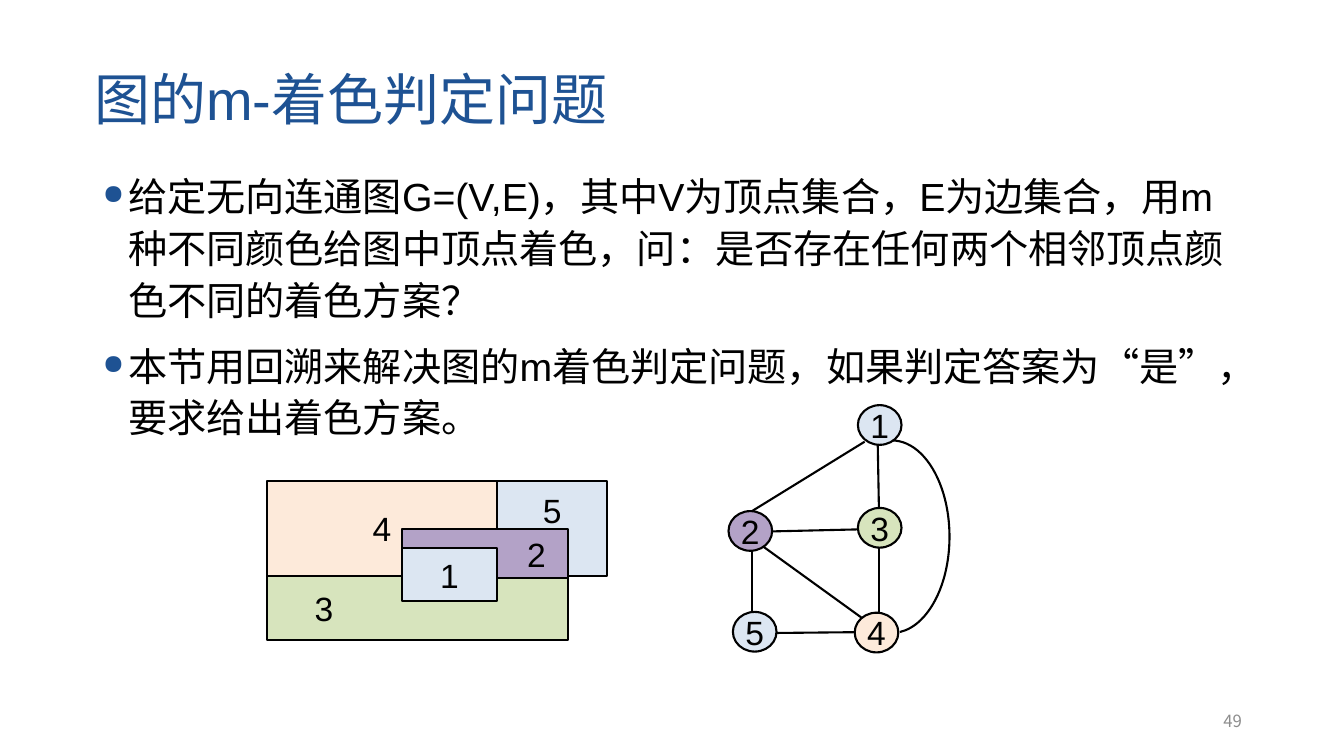
from dataclasses import dataclass

from lxml.etree import SubElement
from pptx import Presentation
from pptx.dml.color import RGBColor
from pptx.enum.shapes import MSO_CONNECTOR, MSO_SHAPE
from pptx.enum.text import MSO_ANCHOR, PP_ALIGN
from pptx.oxml.ns import qn
from pptx.util import Cm, Pt


@dataclass(frozen=True)
class Theme:
    font: str = "Arial"
    number_font: str = "Noto Sans CJK SC"
    blue: str = "1E5293"
    black: str = "000000"
    gray: str = "8C8C8C"
    title_size: int = 40
    body_size: int = 28
    label_size: int = 24
    number_size: int = 12
    line_width: float = 1.5


THEME = Theme()

# One colour per vertex, shared by the map and the graph
VERTEX_COLORS = {"1": "DCE6F2", "2": "B3A2C7", "3": "D7E4BD", "4": "FDEADA", "5": "DCE6F2"}

TITLE = "图的m-着色判定问题"
BODY = [
    "给定无向连通图G=(V,E)，其中V为顶点集合，E为边集合，用m种不同颜色给图中顶点着色，"
    "问：是否存在任何两个相邻顶点颜色不同的着色方案？",
    "本节用回溯来解决图的m着色判定问题，如果判定答案为“是”，要求给出着色方案。",
]

# Map regions from back to front: label, (left, top, width, height)
REGIONS = [
    ("4", (6.73, 12.12, 5.79, 2.39)),
    ("3", (6.73, 14.52, 7.59, 1.6)),
    ("5", (12.52, 12.12, 2.79, 2.39)),
    ("2", (10.13, 13.34, 4.19, 1.22)),
    ("1", (10.13, 13.82, 2.39, 1.32)),
]

# Graph vertices: label, (left, top)
NODE_SIZE = (1.1, 1)
NODES = {
    "1": (21.62, 10.21),
    "2": (18.36, 12.88),
    "3": (21.62, 12.8),
    "4": (21.54, 15.44),
    "5": (18.47, 15.42),
}

# Graph edges: (start x, start y, end x, end y)
EDGES = [
    (19.48, 13.39, 21.62, 13.34),  # 2-3
    (21.54, 15.93, 19.56, 15.95),  # 4-5
    (18.95, 13.87, 18.95, 15.44),  # 2-5
    (22.15, 15.42, 22.15, 13.77),  # 4-3
    (18.95, 12.88, 21.79, 11.13),  # 2-1
    (22.15, 12.78, 22.12, 11.2),  # 3-1
    (19.23, 13.77, 21.72, 15.57),  # 2-4
]


def lengths(values):
    return [Cm(value) for value in values]


def format_runs(paragraph, size, color, font=THEME.font):
    for run in paragraph.runs:
        run.font.size = Pt(size)
        run.font.name = font
        run.font.color.rgb = RGBColor.from_string(color)


def add_text(slide, box, texts, size, color, font=THEME.font, anchor=MSO_ANCHOR.MIDDLE):
    frame = slide.shapes.add_textbox(*lengths(box)).text_frame
    frame.word_wrap = True
    frame.vertical_anchor = anchor
    frame.text = "\n".join(texts)
    for paragraph in frame.paragraphs:
        format_runs(paragraph, size, color, font)
    return frame


def add_bullet(paragraph):
    properties = paragraph._p.get_or_add_pPr()
    properties.set("marL", str(Cm(0.64)))
    properties.set("indent", str(-Cm(0.64)))
    bullet_color = SubElement(properties, qn("a:buClr"))
    SubElement(bullet_color, qn("a:srgbClr"), val=THEME.blue)
    SubElement(properties, qn("a:buSzPct"), val="70000")
    SubElement(properties, qn("a:buChar"), char="●")


def set_line(shape):
    shape.line.color.rgb = RGBColor.from_string(THEME.black)
    shape.line.width = Pt(THEME.line_width)


def add_labelled(slide, kind, box, label):
    shape = slide.shapes.add_shape(kind, *lengths(box))
    shape.shadow.inherit = False
    shape.fill.solid()
    shape.fill.fore_color.rgb = RGBColor.from_string(VERTEX_COLORS[label])
    set_line(shape)
    frame = shape.text_frame
    frame.word_wrap = kind == MSO_SHAPE.RECTANGLE
    frame.vertical_anchor = MSO_ANCHOR.MIDDLE
    frame.text = label
    paragraph = frame.paragraphs[0]
    paragraph.alignment = PP_ALIGN.CENTER
    format_runs(paragraph, THEME.label_size, THEME.black)
    return frame


def add_edge(slide, ends):
    edge = slide.shapes.add_connector(MSO_CONNECTOR.STRAIGHT, *lengths(ends))
    set_line(edge)
    SubElement(edge._element.spPr, qn("a:effectLst"))


def add_arc(slide, box):
    arc = slide.shapes.add_shape(MSO_SHAPE.ARC, *lengths(box))
    arc.shadow.inherit = False
    arc.fill.background()
    set_line(arc)
    arc.adjustments[0] = 162
    arc.adjustments[1] = 51.11


def add_map(slide):
    frames = {
        label: add_labelled(slide, MSO_SHAPE.RECTANGLE, box, label) for label, box in REGIONS
    }
    # Shift labels clear of the overlapping regions
    frames["3"].paragraphs[0].alignment = PP_ALIGN.LEFT
    frames["3"].margin_left = Cm(1.2)
    frames["2"].margin_left = Cm(2.84)
    frames["5"].margin_bottom = Cm(1.04)


def add_graph(slide):
    for ends in EDGES:
        add_edge(slide, ends)
    add_arc(slide, (21.03, 11.1, 2.9, 4.85))
    for label, corner in NODES.items():
        add_labelled(slide, MSO_SHAPE.OVAL, corner + NODE_SIZE, label)


def main():
    presentation = Presentation()
    presentation.slide_width = Cm(33.87)
    presentation.slide_height = Cm(19.05)
    slide = presentation.slides.add_slide(presentation.slide_layouts[6])

    # Title
    title = add_text(slide, (2.13, 0.74, 29.21, 3.68), [TITLE], THEME.title_size, THEME.blue)
    title.paragraphs[0].line_spacing = 0.9

    # Problem statement
    body = add_text(slide, (2.34, 4.11, 29.01, 10.8), BODY, THEME.body_size, THEME.black,
                    anchor=MSO_ANCHOR.TOP)
    for paragraph in body.paragraphs:
        paragraph.line_spacing = 1.1
        paragraph.space_before = Pt(10)
        add_bullet(paragraph)

    # Map and its graph
    add_map(slide)
    add_graph(slide)

    # Page number
    number = add_text(slide, (23.93, 17.65, 7.62, 1.02), ["49"], THEME.number_size,
                      THEME.gray, THEME.number_font)
    number.paragraphs[0].alignment = PP_ALIGN.RIGHT

    presentation.save("out.pptx")


if __name__ == "__main__":
    main()
